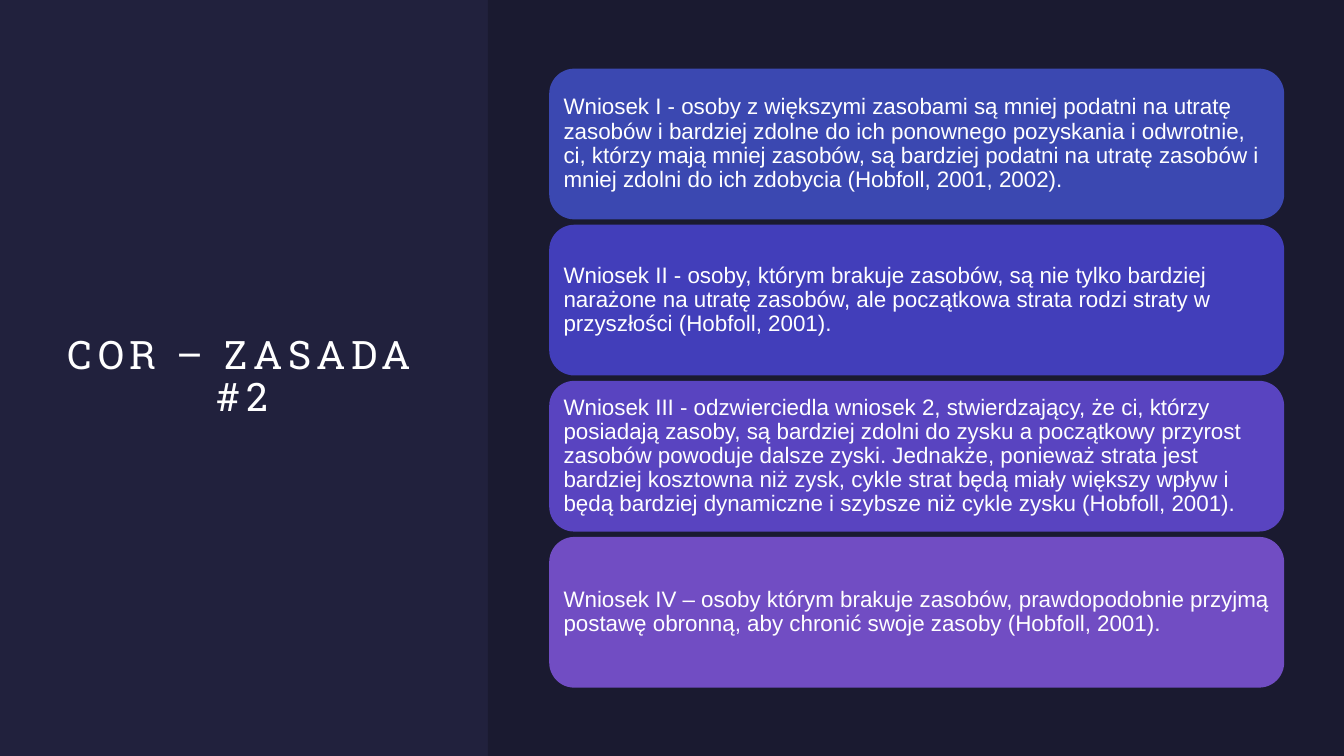
from dataclasses import dataclass

from pptx import Presentation
from pptx.dml.color import RGBColor
from pptx.enum import shapes, text
from pptx.oxml.ns import qn
from pptx.util import Pt
from lxml import etree


@dataclass(frozen=True)
class Theme:
    background: str = "21213D"
    panel: str = "000000"
    panel_alpha: int = 20
    ink: str = "FFFFFF"
    cards: tuple = ("3B48B1", "423EBA", "5944C0", "714DC3")
    title_font: str = "Roboto Slab"
    title_size: int = 28
    title_tracking: int = 4
    body_font: str = "Arial"
    body_size: int = 16


THEME = Theme()
SLIDE_W, SLIDE_H = 960, 540
PANEL_X = 348.5
CARD_X, CARD_Y, CARD_W, CARD_H, CARD_PITCH = 392.3, 49, 525, 107.7, 111.5

TITLE = "COR – ZASADA #2"
CONCLUSIONS = (
    "Wniosek I - osoby z większymi zasobami są mniej podatni na utratę zasobów "
    "i bardziej zdolne do ich ponownego pozyskania i odwrotnie, ci, którzy mają "
    "mniej zasobów, są bardziej podatni na utratę zasobów i mniej zdolni do ich "
    "zdobycia (Hobfoll, 2001, 2002).",
    "Wniosek II - osoby, którym brakuje zasobów, są nie tylko bardziej narażone "
    "na utratę zasobów, ale początkowa strata rodzi straty w przyszłości "
    "(Hobfoll, 2001).",
    "Wniosek III - odzwierciedla wniosek 2, stwierdzający, że ci, którzy "
    "posiadają zasoby, są bardziej zdolni do zysku a początkowy przyrost zasobów "
    "powoduje dalsze zyski. Jednakże, ponieważ strata jest bardziej kosztowna "
    "niż zysk, cykle strat będą miały większy wpływ i będą bardziej dynamiczne "
    "i szybsze niż cykle zysku (Hobfoll, 2001).",
    "Wniosek IV – osoby którym brakuje zasobów, prawdopodobnie przyjmą postawę "
    "obronną, aby chronić swoje zasoby (Hobfoll, 2001).",
)


def set_attrs(obj, values):
    for name, value in values.items():
        setattr(obj, name, value)


def write_text(sp, content, font, size, align, inset):
    """Fill a shape with one formatted paragraph and return its run."""
    tf = sp.text_frame
    set_attrs(tf, {
        "word_wrap": True,
        "auto_size": text.MSO_AUTO_SIZE.NONE,
        "vertical_anchor": text.MSO_ANCHOR.MIDDLE,
        **{f"margin_{side}": Pt(inset) for side in ("left", "top", "right", "bottom")},
    })
    p = tf.paragraphs[0]
    set_attrs(p, {"alignment": align, "line_spacing": 0.9})
    r = p.add_run()
    r.text = content
    set_attrs(r.font, {"name": font, "size": Pt(size)})
    r.font.color.rgb = RGBColor.from_string(THEME.ink)
    return r


def add_title(s):
    sp = s.shapes.title
    set_attrs(sp, {"left": Pt(42.5), "top": Pt(85), "width": Pt(261.4), "height": Pt(369.4)})
    r = write_text(sp, TITLE, THEME.title_font, THEME.title_size, text.PP_ALIGN.CENTER, 0)
    r.font._element.set("spc", str(THEME.title_tracking * 100))


def add_block(s, kind, box, color):
    sp = s.shapes.add_shape(kind, *map(Pt, box))
    sp.shadow.inherit = False
    sp.fill.solid()
    sp.fill.fore_color.rgb = RGBColor.from_string(color)
    sp.line.fill.background()
    return sp


def add_panel(s):
    box = (PANEL_X, 0, SLIDE_W - PANEL_X, SLIDE_H)
    sp = add_block(s, shapes.MSO_SHAPE.RECTANGLE, box, THEME.panel)
    color = sp._element.spPr.find(qn("a:solidFill"))[0]
    etree.SubElement(color, qn("a:alpha")).set("val", str(THEME.panel_alpha * 1000))


def add_card(s, index, content, color):
    box = (CARD_X, CARD_Y + index * CARD_PITCH, CARD_W, CARD_H)
    sp = add_block(s, shapes.MSO_SHAPE.ROUNDED_RECTANGLE, box, color)
    write_text(sp, content, THEME.body_font, THEME.body_size, text.PP_ALIGN.LEFT, 5)


def main():
    prs = Presentation()
    set_attrs(prs, {"slide_width": Pt(SLIDE_W), "slide_height": Pt(SLIDE_H)})
    s = prs.slides.add_slide(prs.slide_layouts[5])
    s.background.fill.solid()
    s.background.fill.fore_color.rgb = RGBColor.from_string(THEME.background)

    # Title on the left, darker panel on the right
    add_title(s)
    add_panel(s)

    # Stack of conclusions
    for i, (content, color) in enumerate(zip(CONCLUSIONS, THEME.cards)):
        add_card(s, i, content, color)

    prs.save("out.pptx")


if __name__ == "__main__":
    main()
